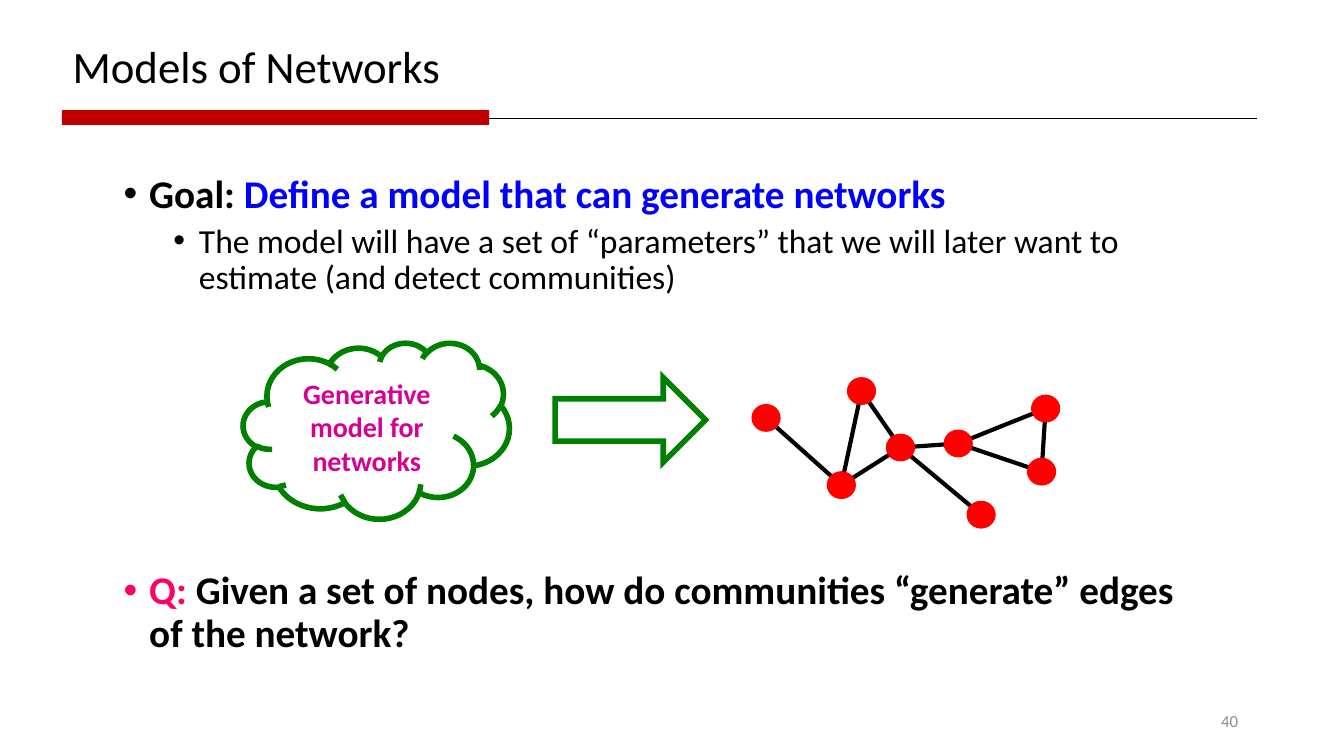
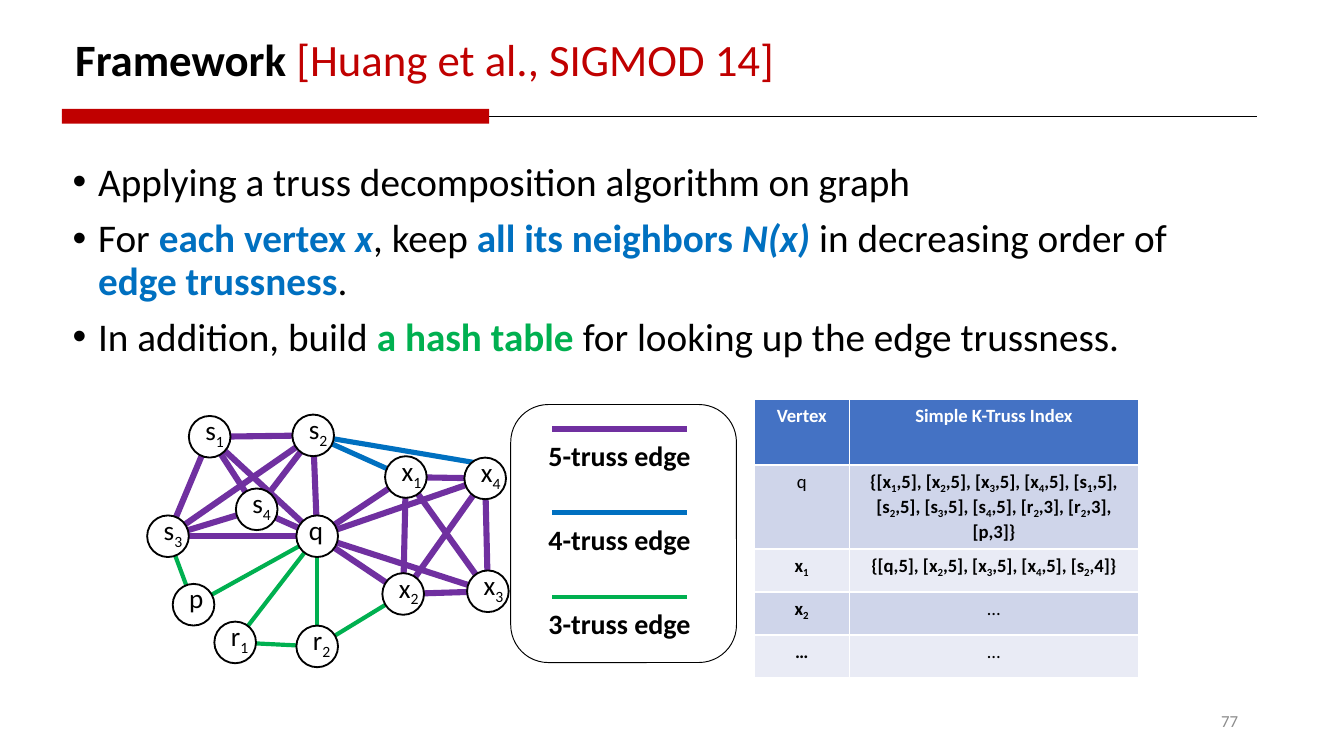
import itertools

import pptx
import pptx.dml.color
import pptx.enum.shapes
import pptx.enum.text
import pptx.oxml
import pptx.oxml.ns
import pptx.util

Inches, Pt = pptx.util.Inches, pptx.util.Pt
SHAPE = pptx.enum.shapes.MSO_SHAPE
ANCHOR = pptx.enum.text.MSO_ANCHOR
ALIGN = pptx.enum.text.PP_ALIGN
COLORS = {name: pptx.dml.color.RGBColor.from_string(value) for name, value in {
    "black": "000000", "white": "FFFFFF", "gray": "8C8C8C", "crimson": "C00000",
    "blue": "0000FF", "pink": "FF0066", "magenta": "D60093", "red": "FF0000",
    "dark green": "008000", "purple": "7030A0", "sky": "0070C0", "green": "00B050",
    "header": "4472C4", "band 1": "CFD5EA", "band 2": "E9EBF5",
}.items()}


def write(p, text, size, color="black", bold=False, italic=False):
    """Add runs to a paragraph; the character after "_" is a subscript."""
    first, *rest = text.split("_")
    pieces = [(first, False)]
    for part in rest:
        pieces += [(part[0], True), (part[1:], False)]
    for piece, is_sub in pieces:
        if piece:
            r = p.add_run()
            r.text = piece
            r.font.name, r.font.size = "Calibri", Pt(size)
            r.font.bold, r.font.italic = bold, italic
            r.font.color.rgb = COLORS[color]
            if is_sub:
                r.font._element.set("baseline", "-25000")


def add_line(shapes, start, end, color, width):
    line = shapes.add_connector(pptx.enum.shapes.MSO_CONNECTOR.STRAIGHT,
                                *[Inches(v) for v in (*start, *end)])
    line.line.color.rgb = COLORS[color]
    line.line.width = Pt(width)
    line._element.spPr.append(pptx.oxml.parse_xml(
        "<a:effectLst %s/>" % pptx.oxml.ns.nsdecls("a")))


prs = pptx.Presentation()
prs.slide_width, prs.slide_height = Inches(10), Inches(10 * 9 / 16)

# What each slide holds: title, rule height, page number and bullets.
# A bullet is (level, size, space before, runs).
pages = [
    {
        "title": [("Models of Networks",)],
        "title at": (0.44, 0.01, 6.66, 0.73), "anchor": ANCHOR.BOTTOM,
        "rule": 0.88, "number": "40", "body at": (0.82, 1.25, 8.32, 4.31),
        "bullets": [
            (0, 21, 0, [("Goal: ", "black", True),
                        ("Define a model that can generate networks", "blue", True)]),
            (1, 18, 3.8, [("The model will have a set of “parameters” that we will later "
                           "want to estimate (and detect communities)",)]),
            (0, 21, 147, [("Q: ", "pink", True),
                          ("Given a set of nodes, how do communities “generate” edges "
                           "of the network?", "black", True)]),
        ],
    },
    {
        "title": [("Framework ", "black", True), ("[Huang et al., SIGMOD 14]", "crimson")],
        "title at": (0.46, -0.01, 9.54, 0.94), "anchor": ANCHOR.MIDDLE,
        "rule": 0.87, "number": "77", "body at": (0.44, 1.16, 8.62, 3.57),
        "bullets": [
            (0, 21, 0, [("Applying a truss decomposition algorithm on graph",)]),
            (0, 21, 7.5, [("For ",), ("each vertex ", "sky", True), ("x", "sky", True, True),
                          (", keep ",), ("all its neighbors ", "sky", True),
                          ("N(x) ", "sky", True, True), ("in decreasing order of ",),
                          ("edge trussness", "sky", True), (".",)]),
            (0, 21, 7.5, [("In addition, build ",), ("a hash table ", "green", True),
                          ("for looking up the edge trussness.",)]),
        ],
    },
]

# Shared frame: title, bullets, rule with band, page number
slides = []
for page in pages:
    s = prs.slides.add_slide(prs.slide_layouts[1])
    slides.append(s)
    title, body = s.placeholders
    for sp, at, anchor in ((title, page["title at"], page["anchor"]),
                           (body, page["body at"], ANCHOR.TOP)):
        sp.left, sp.top, sp.width, sp.height = [Inches(v) for v in at]
        tf = sp.text_frame
        tf.auto_size = pptx.enum.text.MSO_AUTO_SIZE.NONE
        tf.word_wrap, tf.vertical_anchor = True, anchor
        tf.margin_left = tf.margin_right = Inches(0.1)
        tf.margin_top = tf.margin_bottom = Inches(0.05)

    p = title.text_frame.paragraphs[0]
    p.alignment, p.line_spacing = ALIGN.LEFT, 0.9
    for run in page["title"]:
        write(p, run[0], 24, *run[1:])

    tf = body.text_frame
    for i, (level, size, before, runs) in enumerate(page["bullets"]):
        p = tf.add_paragraph() if i else tf.paragraphs[0]
        p.level, p.line_spacing, p.space_before = level, 0.9, Pt(before)
        pPr = p._p.get_or_add_pPr()
        pPr.set("marL", str(Inches((0.19, 0.56)[level])))
        pPr.set("indent", str(Inches(-0.19)))
        for tag in ('buFont %s typeface="Arial"', 'buChar %s char="•"'):
            pPr.append(pptx.oxml.parse_xml("<a:%s/>" % tag % pptx.oxml.ns.nsdecls("a")))
        for run in runs:
            write(p, run[0], size, *run[1:])

    add_line(s.shapes, (0.46, page["rule"]), (9.35, page["rule"]), "black", 0.5)
    band = s.shapes.add_shape(SHAPE.RECTANGLE, Inches(0.46), Inches(page["rule"] - 0.06),
                              Inches(3.18), Inches(0.11))
    band.shadow.inherit = False
    band.fill.solid()
    band.fill.fore_color.rgb = COLORS["crimson"]
    band.line.fill.background()

    number = s.shapes.add_textbox(Inches(7.06), Inches(5.21), Inches(2.25), Inches(0.3))
    number.text_frame.word_wrap = True
    number.text_frame.vertical_anchor = ANCHOR.MIDDLE
    p = number.text_frame.paragraphs[0]
    p.alignment = ALIGN.RIGHT
    write(p, page["number"], 9, "gray")

models, framework = slides

# Models slide: cloud and arrow
for kind, at in ((SHAPE.RIGHT_ARROW, (4.13, 2.81, 1.12, 0.63)),
                 (SHAPE.CLOUD, (1.81, 2.55, 1.98, 1.31))):
    sp = models.shapes.add_shape(kind, *[Inches(v) for v in at])
    sp.shadow.inherit = False
    sp.fill.background()
    sp.line.color.rgb = COLORS["dark green"]
    sp.line.width = Pt(3)
    sp._element.spPr.find(pptx.oxml.ns.qn("a:ln")).append(pptx.oxml.parse_xml(
        '<a:miter %s lim="800000"/>' % pptx.oxml.ns.nsdecls("a")))
cloud_text = sp.text_frame
cloud_text.word_wrap, cloud_text.vertical_anchor = True, ANCHOR.MIDDLE
cloud_text.paragraphs[0].alignment = ALIGN.CENTER
write(cloud_text.paragraphs[0], "Generative model for networks", 15, "magenta", True)

# Models slide: generated network, nodes given by their centres
network = models.shapes.add_group_shape()
dots = {"a": (5.7, 3.11), "b": (6.26, 3.61), "c": (6.41, 2.91), "d": (6.7, 3.33),
        "e": (7.13, 3.3), "f": (7.3, 3.83), "g": (7.78, 3.04), "h": (7.75, 3.51)}
for start, end in "ab bc bd cd de df eg eh gh".split():
    add_line(network.shapes, dots[start], dots[end], "black", 2.25)
for x, y in dots.values():
    dot = network.shapes.add_shape(SHAPE.OVAL, Inches(x - 0.105), Inches(y - 0.1),
                                   Inches(0.21), Inches(0.2))
    dot.shadow.inherit = False
    dot.fill.solid()
    dot.fill.fore_color.rgb = dot.line.color.rgb = COLORS["red"]
    dot.line.width = Pt(0.5)

# Framework slide: truss graph, two 5-cliques that share q
vertices = {"q": (2.36, 3.99), "s_3": (1.25, 3.99), "s_1": (1.56, 3.25),
            "s_4": (1.91, 3.79), "x_2": (3.0, 4.42), "x_1": (3.02, 3.55),
            "r_2": (2.36, 4.81), "r_1": (1.75, 4.78), "x_4": (3.61, 3.56),
            "x_3": (3.63, 4.4), "p": (1.44, 4.5), "s_2": (2.33, 3.24)}
cliques = [("q", "s_1", "s_2", "s_3", "s_4"), ("q", "x_1", "x_2", "x_3", "x_4")]
x4_top = (3.58, 3.45)
trusses = [
    ("5-truss edge", "purple", 3.25,
     [edge for clique in cliques for edge in itertools.combinations(clique, 2)]),
    ("4-truss edge", "sky", 2.75, [("s_2", "x_1"), ("s_2", x4_top)]),
    ("3-truss edge", "green", 2.25, [("s_3", "p"), ("p", "q"), ("r_1", "q"), ("r_2", "q"),
                                     ("r_1", "r_2"), ("r_2", "x_2")]),
]
for _, color, width, edges in trusses:
    for start, end in edges:
        add_line(framework.shapes, vertices[start], vertices.get(end, end), color, width)

for name, (x, y) in vertices.items():
    vertex = framework.shapes.add_group_shape()
    circle = vertex.shapes.add_shape(SHAPE.OVAL, Inches(x - 0.155), Inches(y - 0.155),
                                     Inches(0.31), Inches(0.31))
    circle.shadow.inherit = False
    circle.fill.solid()
    circle.fill.fore_color.rgb = COLORS["white"]
    circle.line.color.rgb = COLORS["black"]
    circle.line.width = Pt(1)
    shift = 0.16 if name == "q" else 0.13
    label = vertex.shapes.add_textbox(Inches(x - shift), Inches(y - 0.22),
                                      Inches(0.36), Inches(0.35))
    label.text_frame.word_wrap = False
    write(label.text_frame.paragraphs[0], name, 14.5)

# Framework slide: legend
frame = framework.shapes.add_shape(SHAPE.ROUNDED_RECTANGLE, Inches(3.8), Inches(3.01),
                                   Inches(1.68), Inches(1.92))
frame.shadow.inherit = False
frame.fill.solid()
frame.fill.fore_color.rgb = COLORS["white"]
frame.line.color.rgb = COLORS["black"]
frame.line.width = Pt(0.5)
for i, (text, color, width, _) in enumerate(trusses):
    y = 3.19 + 1.25 * i / 2
    sp = framework.shapes.add_shape(SHAPE.ROUNDED_RECTANGLE, Inches(3.86), Inches(y + 0.06),
                                    Inches(1.5), Inches(0.28))
    sp.shadow.inherit = False
    sp.fill.solid()
    sp.fill.fore_color.rgb = COLORS["white"]
    sp.line.fill.background()
    sp.text_frame.vertical_anchor = ANCHOR.MIDDLE
    p = sp.text_frame.paragraphs[0]
    p.alignment = ALIGN.CENTER
    write(p, text, 15, bold=True)
    add_line(framework.shapes, (4.11, y), (5.11, y), color, width)

# Framework slide: index table, cells as (text, bold)
rows = [
    (0.49, ("Vertex", True), ("Simple K-Truss Index", True)),
    (0.58, ("q", False),
     ("{[x_1,5], [x_2,5], [x_3,5], [x_4,5], [s_1,5], [s_2,5], [s_3,5], [s_4,5], "
      "[r_2,3], [r_2,3], [p,3]}", True)),
    (0.32, ("x_1", True), ("{[q,5], [x_2,5], [x_3,5], [x_4,5], [s_2,4]}", True)),
    (0.32, ("x_2", True), ("…", False)),
    (0.32, ("…", True), ("…", False)),
]
table = framework.shapes.add_table(len(rows), 2, Inches(5.61), Inches(2.97),
                                   Inches(2.86), Inches(2.03)).table
table.columns[0].width, table.columns[1].width = Inches(0.71), Inches(2.15)
for i, (height, *cells) in enumerate(rows):
    table.rows[i].height = Inches(height)
    fill = "header" if i == 0 else ("band 2", "band 1")[i % 2]
    for j, (text, bold) in enumerate(cells):
        cell = table.cell(i, j)
        cell.fill.solid()
        cell.fill.fore_color.rgb = COLORS[fill]
        cell.margin_left = cell.margin_right = Inches(0.07)
        cell.margin_top = cell.margin_bottom = Inches(0.04)
        p = cell.text_frame.paragraphs[0]
        p.alignment = ALIGN.CENTER
        write(p, text, 10, "black" if i else "white", bold)

prs.save("out.pptx")
